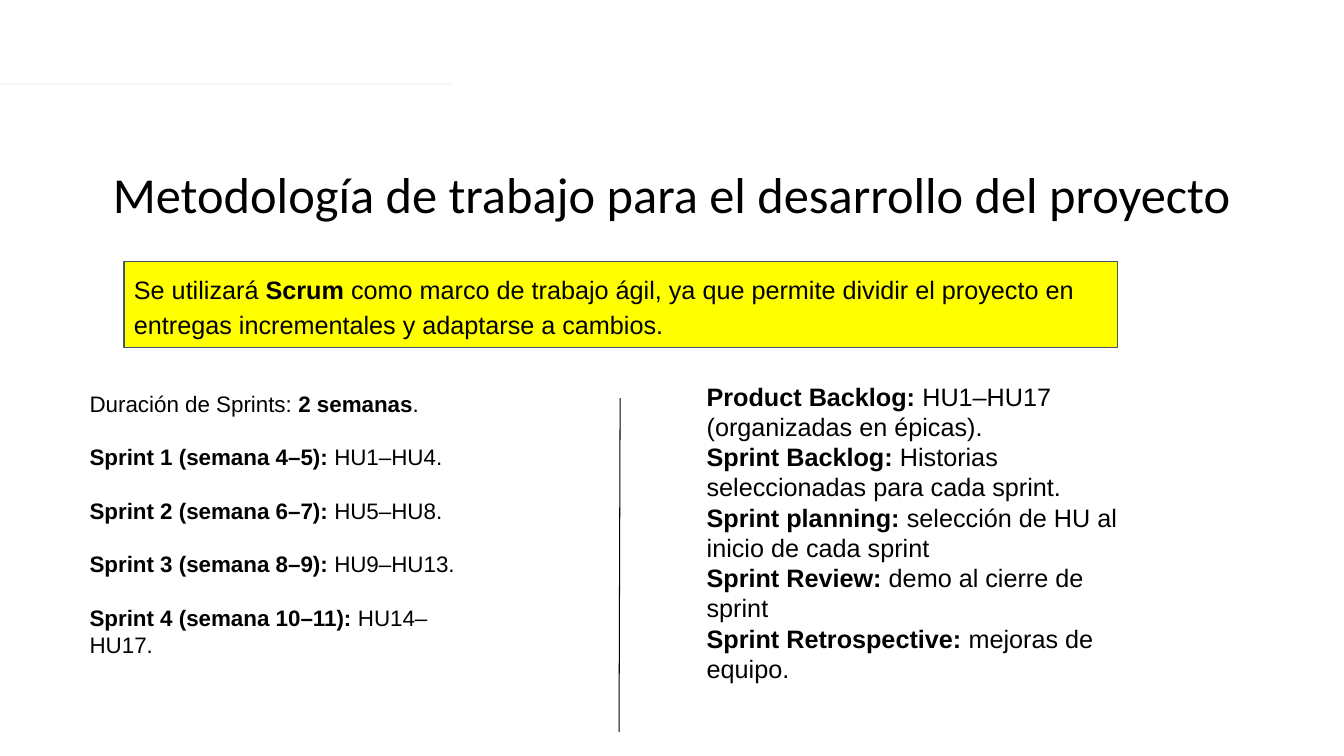
from dataclasses import dataclass

from lxml.etree import SubElement
from pptx import Presentation
from pptx.dml.color import RGBColor
from pptx.enum.shapes import MSO_CONNECTOR, MSO_SHAPE
from pptx.enum.text import MSO_ANCHOR as Anchor, PP_ALIGN as Align
from pptx.oxml.ns import qn
from pptx.slide import Slide
from pptx.util import Inches, Length, Pt

WIDTH, HEIGHT = Inches(13.33), Inches(7.5)


@dataclass(frozen=True)
class Theme:
    ink: RGBColor = RGBColor(0x00, 0x00, 0x00)
    banner: RGBColor = RGBColor(0xFF, 0xFF, 0x00)
    banner_edge: RGBColor = RGBColor(0x44, 0x54, 0x6A)
    rule: RGBColor = RGBColor(0xF5, 0xF7, 0xFC)
    title_font: str = "Calibri"
    body_font: str = "Arial"
    title_size: float = 36
    large: float = 18
    small: float = 16
    thin: float = 0.75
    thick: float = 1.25


THEME = Theme()


@dataclass(frozen=True)
class Area:
    """Left, top, width and height in percent of the slide."""
    left: float
    top: float
    width: float
    height: float


@dataclass(frozen=True)
class Line:
    """Both ends in percent of the slide."""
    x1: float
    y1: float
    x2: float
    y2: float
    color: RGBColor
    weight: float


@dataclass(frozen=True)
class Part:
    text: str
    bold: bool = False


Paragraph = tuple[Part, ...]


@dataclass(frozen=True)
class TextBlock:
    area: Area
    paragraphs: list[Paragraph]
    size: float
    font: str = THEME.body_font
    align: Align = Align.LEFT
    anchor: Anchor = Anchor.TOP
    inset: float = 0.1
    gap: float = 0
    spacing: float = 1.0
    banner: bool = False


def across(share: float) -> Length:
    return Length(round(WIDTH * share / 100))


def down(share: float) -> Length:
    return Length(round(HEIGHT * share / 100))


def labelled(label: str, detail: str) -> Paragraph:
    return Part(label + ":", True), Part(" " + detail)


def draw_line(s: Slide, line: Line) -> None:
    c = s.shapes.add_connector(MSO_CONNECTOR.STRAIGHT, across(line.x1), down(line.y1),
                               across(line.x2), down(line.y2))
    c.line.color.rgb = line.color
    c.line.width = Pt(line.weight)
    SubElement(c._element.spPr, qn("a:effectLst"))


def draw_text(s: Slide, block: TextBlock) -> None:
    a = block.area
    box = across(a.left), down(a.top), across(a.width), down(a.height)
    if block.banner:
        sp = s.shapes.add_shape(MSO_SHAPE.RECTANGLE, *box)
        sp.shadow.inherit = False
        sp.fill.solid()
        sp.fill.fore_color.rgb = THEME.banner
        sp.line.color.rgb = THEME.banner_edge
        sp.line.width = Pt(THEME.thin)
    else:
        sp = s.shapes.add_textbox(*box)

    tf = sp.text_frame
    tf.word_wrap = True
    tf.vertical_anchor = block.anchor
    tf.margin_left = tf.margin_right = Inches(0.1)
    tf.margin_top = tf.margin_bottom = Inches(block.inset)
    for i, parts in enumerate(block.paragraphs):
        p = tf.add_paragraph() if i else tf.paragraphs[0]
        p.alignment = block.align
        p.line_spacing = block.spacing
        if i and block.gap:
            p.space_before = Pt(block.gap)
        for part in parts:
            r = p.add_run()
            r.text = part.text
            r.font.name = block.font
            r.font.size = Pt(block.size)
            r.font.bold = part.bold
            r.font.color.rgb = THEME.ink


# Sprint calendar: name, weeks and user stories
SPRINTS = [("4–5", "HU1–HU4."), ("6–7", "HU5–HU8."),
           ("8–9", "HU9–HU13."), ("10–11", "HU14–HU17.")]

# Scrum artefacts and events
PRACTICES = [
    ("Product Backlog", "HU1–HU17 (organizadas en épicas)."),
    ("Sprint Backlog", "Historias seleccionadas para cada sprint."),
    ("Sprint planning", "selección de HU al inicio de cada sprint"),
    ("Sprint Review", "demo al cierre de sprint"),
    ("Sprint Retrospective", "mejoras de equipo."),
]

TITLE = TextBlock(
    Area(0, 20.93, 100, 9.47),
    [(Part("Metodología de trabajo para el desarrollo del proyecto"),)],
    THEME.title_size, THEME.title_font, Align.CENTER, inset=0.05)

SUMMARY = TextBlock(
    Area(9.23, 34.53, 73.89, 11.47),
    [(Part("Se utilizará "), Part("Scrum", True),
      Part(" como marco de trabajo ágil, ya que permite dividir el proyecto en "
           "entregas incrementales y adaptarse a cambios."))],
    THEME.large, anchor=Anchor.MIDDLE, spacing=1.15, banner=True)

CALENDAR = TextBlock(
    Area(5.93, 50.27, 30.38, 40.93),
    [(Part("Duración de Sprints: "), Part("2 semanas", True), Part("."))]
    + [labelled(f"Sprint {n} (semana {weeks})", stories)
       for n, (weeks, stories) in enumerate(SPRINTS, 1)],
    THEME.small, gap=19)

GLOSSARY = TextBlock(
    Area(51.84, 49.07, 33.53, 22.8),
    [labelled(name, detail) for name, detail in PRACTICES], THEME.large)

LINES = [
    Line(0, 11.07, 33.53, 11.07, THEME.rule, THEME.thick),
    Line(46.14, 52.67, 46.06, 96.8, THEME.ink, THEME.thin),
]


def main() -> None:
    prs = Presentation()
    prs.slide_width, prs.slide_height = WIDTH, HEIGHT
    s = prs.slides.add_slide(prs.slide_layouts[6])
    for line in LINES:
        draw_line(s, line)
    for block in (TITLE, CALENDAR, SUMMARY, GLOSSARY):
        draw_text(s, block)
    prs.save("out.pptx")


if __name__ == "__main__":
    main()
